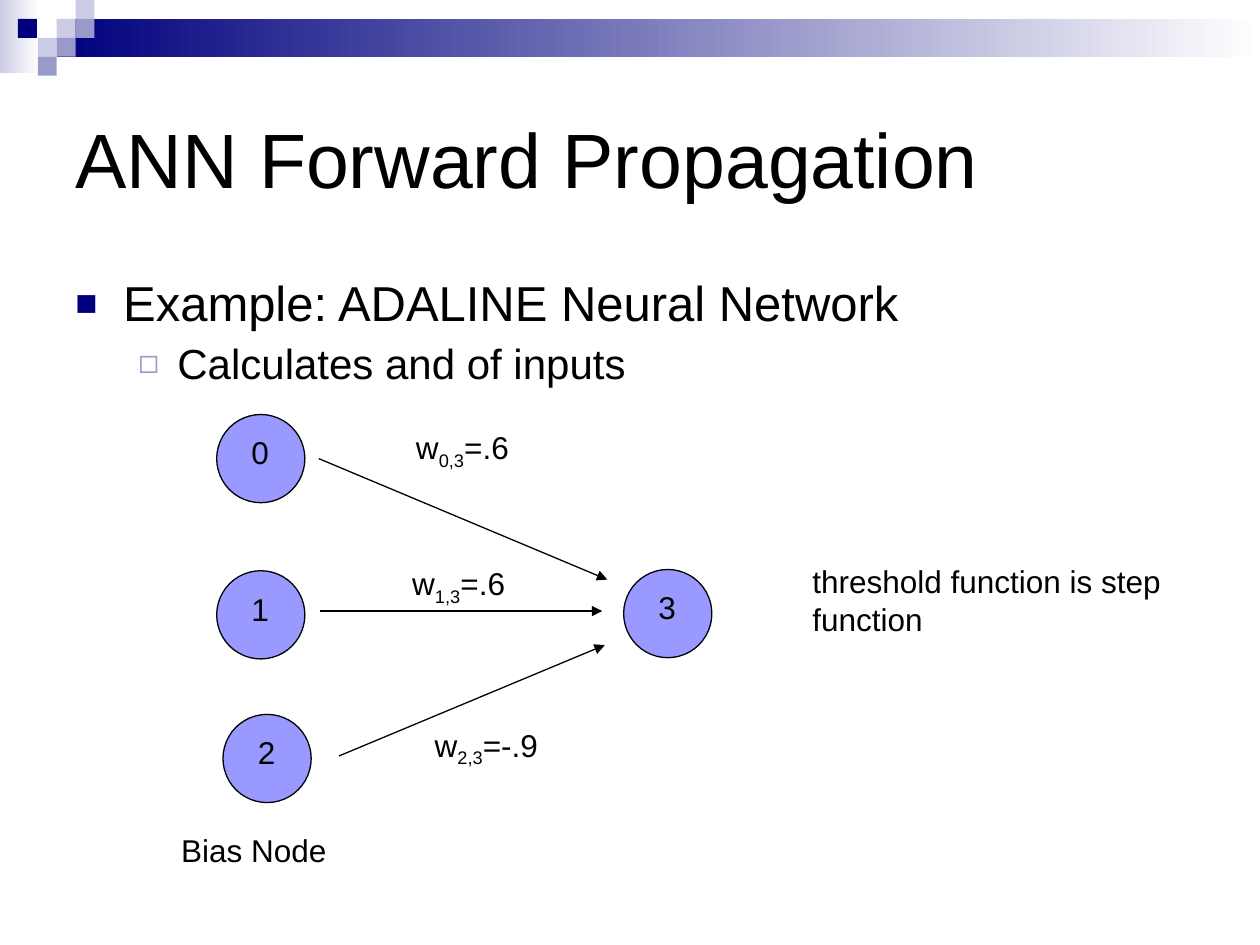
"""Build the ANN forward propagation slide with its ADALINE network diagram."""
import pptx
import pptx.dml.color
import pptx.enum.shapes
import pptx.enum.text
import pptx.oxml.ns
import pptx.util
from lxml import etree

Inches, Pt = pptx.util.Inches, pptx.util.Pt
RGB = pptx.dml.color.RGBColor.from_string
SHAPE = pptx.enum.shapes.MSO_SHAPE
ALIGN = pptx.enum.text.PP_ALIGN
qn = pptx.oxml.ns.qn

THEME = {
    "font": "Arial",
    "ink": RGB("000000"), "paper": RGB("FFFFFF"), "node": RGB("9999FF"),
    "navy": RGB("00007D"), "violet": RGB("9999CC"), "mist": RGB("CCCCE6"),
    "title": Pt(44), "topic": Pt(28), "detail": Pt(24), "label": Pt(18),
    "stroke": Pt(0.75),
}

deck = pptx.Presentation()
deck.slide_width, deck.slide_height = Inches(10), Inches(7.5)
slide = deck.slides.add_slide(deck.slide_layouts[6])


def add_solid(kind, left, top, width, height, color):
    solid = slide.shapes.add_shape(kind, Inches(left), Inches(top), Inches(width), Inches(height))
    solid.shadow.inherit = False
    solid.fill.solid()
    solid.fill.fore_color.rgb = THEME[color]
    solid.line.fill.background()
    return solid


def add_text(left, top, width, height, lines, align=ALIGN.LEFT):
    frame = slide.shapes.add_textbox(Inches(left), Inches(top), Inches(width), Inches(height)).text_frame
    frame.word_wrap = True
    for index, (pieces, size) in enumerate(lines):
        paragraph = frame.paragraphs[0] if index == 0 else frame.add_paragraph()
        paragraph.alignment = align
        paragraph.font.name, paragraph.font.size = THEME["font"], THEME[size]
        paragraph.font.color.rgb = THEME["ink"]
        for piece in pieces:
            paragraph.add_run().text = piece
    return frame


for left, width, top, height, start in [(0, 0.31, 0, 0.58, "mist"), (0.45, 9.55, 0.15, 0.3, "navy")]:
    band = add_solid(SHAPE.RECTANGLE, left, top, width, height, start)
    band.fill.gradient()
    band.fill.gradient_angle = 0
    for stop, color in zip(band.fill.gradient_stops, (start, "paper")):
        stop.color.rgb = THEME[color]

TILE = 0.15
for column, row, color in [(3, 1, "mist"), (4, 0, "mist"), (4, 1, "violet"), (2, 2, "mist"),
                           (0.95, 1, "navy"), (3, 2, "violet"), (2, 3, "violet")]:
    add_solid(SHAPE.RECTANGLE, column * TILE, row * TILE, TILE, TILE, color)

title = add_text(0.5, 0.5, 9, 1.5, [(["ANN Forward Propagation"], "title")])
title.vertical_anchor = pptx.enum.text.MSO_ANCHOR.MIDDLE

outline = add_text(0.5, 2.17, 9, 1.02, [(["Example: ADALINE Neural Network"], "topic"),
                                       (["Calculates and of inputs"], "detail")])
outline.paragraphs[1].space_before = Pt(6)
bullets = [("■", "navy", 75, 0.38, 0.38), ("◻", "violet", 80, 0.81, 0.31)]
for level, (paragraph, (mark, color, percent, margin, hang)) in enumerate(zip(outline.paragraphs, bullets)):
    paragraph.level = level
    paragraph.line_spacing = 0.9
    properties = paragraph._p.get_or_add_pPr()
    properties.set("marL", str(Inches(margin)))
    properties.set("indent", str(-Inches(hang)))
    defaults = properties.find(qn("a:defRPr"))
    bullet_color = etree.Element(qn("a:buClr"))
    etree.SubElement(bullet_color, qn("a:srgbClr"), val=str(THEME[color]))
    for element in (bullet_color,
                    etree.Element(qn("a:buSzPct"), val=str(percent * 1000)),
                    etree.Element(qn("a:buFont"), typeface=THEME["font"]),
                    etree.Element(qn("a:buChar"), char=mark)):
        defaults.addprevious(element)

for name, left, top in [("0", 1.72, 3.29), ("1", 1.72, 4.53), ("2", 1.77, 5.67), ("3", 4.95, 4.52)]:
    node = add_solid(SHAPE.OVAL, left, top, 0.7, 0.7, "node")
    node.line.color.rgb, node.line.width = THEME["ink"], THEME["stroke"]
    add_text(left + 0.1, top + 0.1, 0.49, 0.4, [([name], "label")], ALIGN.CENTER)

for start_x, start_y, end_x, end_y in [(2.53, 3.64, 4.82, 4.6), (2.54, 4.85, 4.78, 4.85), (2.69, 6, 4.8, 5.12)]:
    arrow = slide.shapes.add_connector(pptx.enum.shapes.MSO_CONNECTOR.STRAIGHT, Inches(start_x),
                                       Inches(start_y), Inches(end_x), Inches(end_y))
    arrow.line.color.rgb, arrow.line.width = THEME["ink"], THEME["stroke"]
    etree.SubElement(arrow.line._get_or_add_ln(), qn("a:tailEnd"), type="triangle")
    etree.SubElement(arrow._element.spPr, qn("a:effectLst"))

for left, top, link, value in [(2.96, 3.35, "0,3", "=.6"), (2.93, 4.43, "1,3", "=.6"), (3.15, 5.71, "2,3", "=-.9")]:
    weight = add_text(left, top, 1.42, 0.44, [(["w", link, value], "label")], ALIGN.CENTER)
    weight.paragraphs[0].runs[1].font._element.set("baseline", "-25000")

add_text(1.34, 6.55, 1.36, 0.4, [(["Bias Node"], "label")])
add_text(6.35, 4.41, 3.03, 0.7, [(["threshold function is step function"], "label")])

deck.save("out.pptx")
